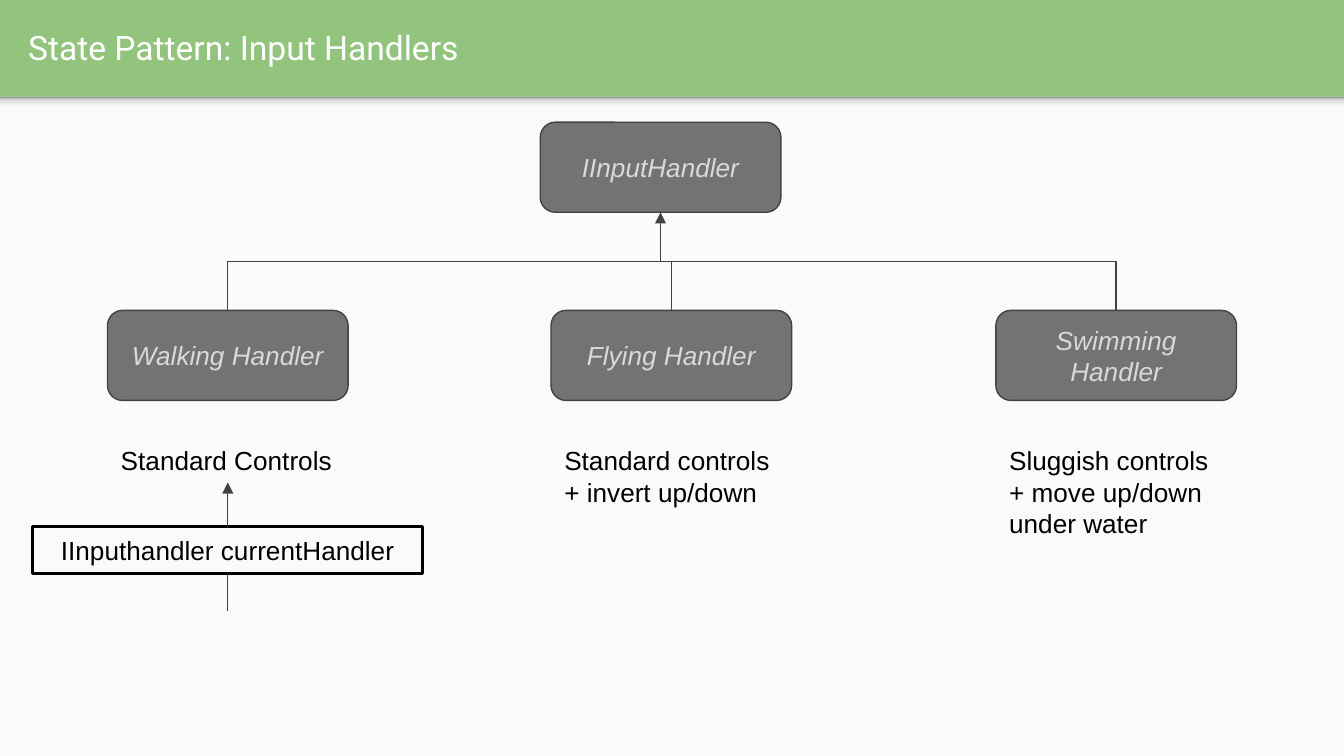
from dataclasses import dataclass
from lxml import etree
from pptx import Presentation
from pptx.dml.color import RGBColor as Color
from pptx.enum.shapes import MSO_CONNECTOR as Link, MSO_SHAPE as Shape
from pptx.enum.text import MSO_ANCHOR as Anchor, MSO_AUTO_SIZE as AutoSize, PP_ALIGN as Align
from pptx.oxml.ns import qn
from pptx.util import Inches, Pt


@dataclass(frozen=True)
class Theme:
    header: str = "93C47D"
    panel: str = "FAFAFA"
    white: str = "FFFFFF"
    black: str = "000000"
    node: str = "737373"
    node_text: str = "D9D9D9"
    line: str = "424242"
    shadow: tuple = ((0, "F9F9F9"), (36, "F9F9F9"), (80, "DEDEDE"), (100, "999999"))
    title_font: str = "Roboto"
    body_font: str = "Arial"
    title_size: int = 18
    body_size: int = 14


theme = Theme()


def write(box, text, color, font=theme.body_font, size=theme.body_size,
          align=Align.LEFT, anchor=Anchor.MIDDLE, italic=False):
    frame = box.text_frame
    frame.word_wrap = True
    frame.auto_size = AutoSize.NONE
    frame.vertical_anchor = anchor
    frame.margin_left = frame.margin_right = Inches(0.1)
    frame.margin_top = frame.margin_bottom = Inches(0.1)
    para = frame.paragraphs[0]
    para.alignment = align
    span = para.add_run()
    span.text = text
    span.font.name = font
    span.font.size = Pt(size)
    span.font.italic = italic
    span.font.color.rgb = Color.from_string(color)


def style_line(connector, arrow=False):
    connector.line.color.rgb = Color.from_string(theme.line)
    connector.line.width = Pt(0.75)
    if arrow:
        etree.SubElement(connector.line._get_or_add_ln(), qn("a:tailEnd"), type="triangle")
    etree.SubElement(connector._element.spPr, qn("a:effectLst"))


deck = Presentation()
deck.slide_width = Inches(10)
deck.slide_height = deck.slide_width * 9 // 16
page = deck.slides.add_slide(deck.slide_layouts[5])
shapes = page.shapes
page.background.fill.solid()
page.background.fill.fore_color.rgb = Color.from_string(theme.header)

header_height = Inches(0.72)
panel = shapes.add_shape(Shape.RECTANGLE, 0, header_height, deck.slide_width, deck.slide_height - header_height)
panel.shadow.inherit = False
panel.fill.solid()
panel.fill.fore_color.rgb = Color.from_string(theme.panel)
panel.line.fill.background()

header_shadow = shapes.add_shape(Shape.RECTANGLE, 0, header_height, deck.slide_width, Inches(0.12))
header_shadow.shadow.inherit = False
header_shadow.line.fill.background()
header_shadow.fill.gradient()
header_shadow.fill.gradient_angle = 90
stops = header_shadow._element.spPr.find(qn("a:gradFill")).find(qn("a:gsLst"))
for stop in list(stops):
    stops.remove(stop)
for position, color in theme.shadow:
    stop = etree.SubElement(stops, qn("a:gs"), pos=str(position * 1000))
    etree.SubElement(stop, qn("a:srgbClr"), val=color)

title = shapes.title
title.left, title.top = Inches(0.11), Inches(0.02)
title.width, title.height = Inches(9.65), Inches(0.66)
write(title, "State Pattern: Input Handlers", theme.white, theme.title_font, theme.title_size)

nodes = []
for text, left, top in (
    ("IInputHandler", 4.02, 0.91),
    ("Walking Handler", 0.8, 2.31),
    ("Flying Handler", 4.1, 2.31),
    ("Swimming Handler", 7.41, 2.31),
):
    node = shapes.add_shape(Shape.ROUNDED_RECTANGLE, Inches(left), Inches(top), Inches(1.79), Inches(0.67))
    node.shadow.inherit = False
    node.fill.solid()
    node.fill.fore_color.rgb = Color.from_string(theme.node)
    node.line.color.rgb = Color.from_string(theme.line)
    node.line.width = Pt(0.75)
    write(node, text, theme.node_text, align=Align.CENTER, italic=True)
    nodes.append(node)
interface, *handlers = nodes

notes = []
for handler, text, height in zip(
    handlers,
    ("Standard Controls", "Standard controls + invert up/down", "Sluggish controls + move up/down under water"),
    (0.38, 0.67, 0.67),
):
    note = shapes.add_textbox(handler.left, Inches(3.21), handler.width, Inches(height))
    write(note, text, theme.black, anchor=Anchor.TOP)
    notes.append(note)

center = notes[0].left + notes[0].width // 2
current_width = Inches(2.9)
current = shapes.add_shape(Shape.RECTANGLE, center - current_width // 2, Inches(3.92), current_width, Inches(0.35))
current.shadow.inherit = False
current.fill.background()
current.line.color.rgb = Color.from_string(theme.black)
current.line.width = Pt(1.5)
write(current, "IInputhandler currentHandler", theme.black, align=Align.CENTER)

pointer = shapes.add_connector(Link.STRAIGHT, 0, 0, 0, 0)
pointer.begin_connect(current, 0)
pointer.end_connect(notes[0], 2)
style_line(pointer, arrow=True)

for handler in handlers:
    branch = shapes.add_connector(Link.ELBOW, 0, 0, 0, 0)
    branch.begin_connect(handler, 0)
    branch.end_connect(interface, 2)
    start, end = handler.left + handler.width // 2, interface.left + interface.width // 2
    bottom, top = handler.top, interface.top + interface.height
    rise, run = bottom - top, abs(end - start)
    branch.left, branch.top = (start + end - rise) // 2, (top + bottom - run) // 2
    branch.width, branch.height = rise, run
    turn = branch._element.spPr.find(qn("a:xfrm"))
    for flip in ("flipH", "flipV"):
        turn.attrib.pop(flip, None)
    if start < end:
        turn.set("rot", "16200000")
    else:
        turn.set("rot", "5400000")
        turn.set("flipH", "1")
    style_line(branch, arrow=handler is handlers[-1])

stem = shapes.add_connector(Link.STRAIGHT, center, Inches(4.55), center, Inches(4.27))
stem.end_connect(current, 2)
style_line(stem)

deck.save("out.pptx")
